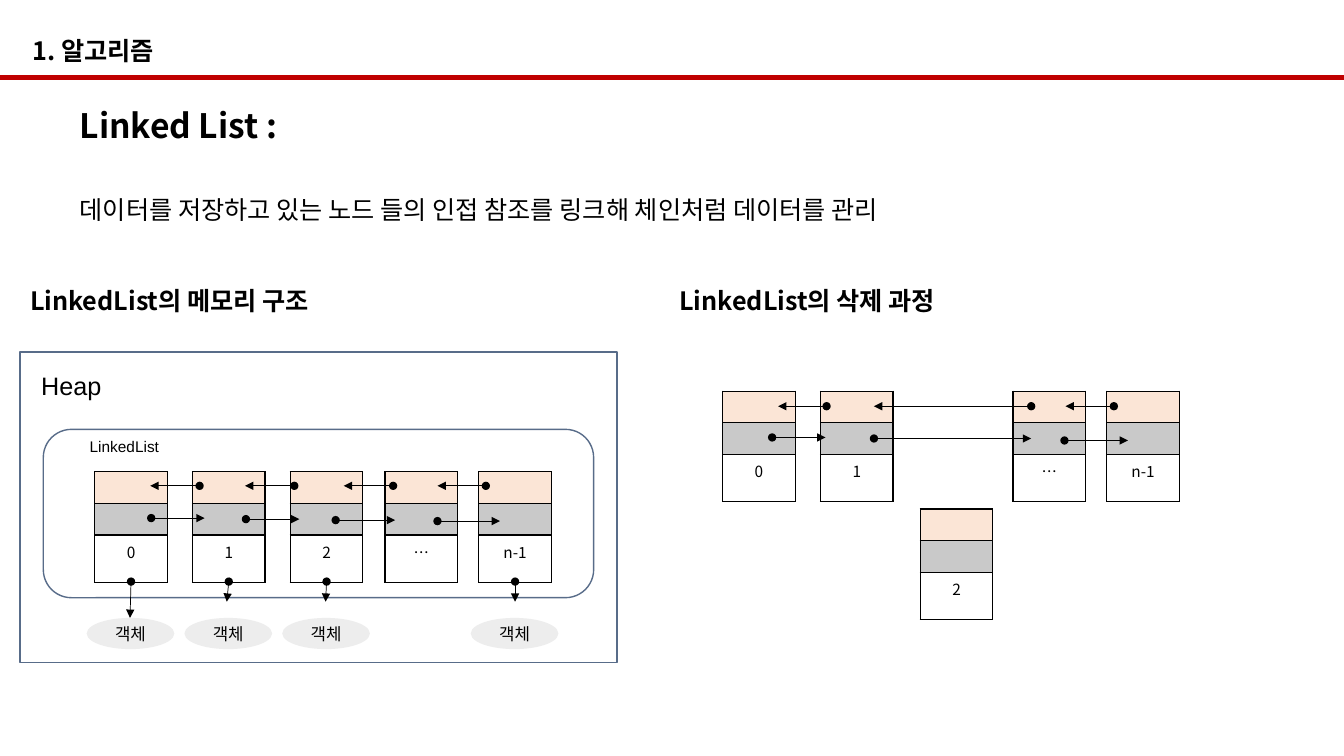
from lxml.etree import SubElement
from pptx import Presentation
from pptx.dml.color import RGBColor
from pptx.enum.shapes import MSO_CONNECTOR as Connector, MSO_SHAPE as Preset
from pptx.enum.text import MSO_ANCHOR as Anchor, MSO_AUTO_SIZE as AutoSize, PP_ALIGN as Align
from pptx.oxml.ns import qn
from pptx.util import Inches, Pt

KOREAN_FONT = "Noto Sans CJK KR"
LATIN_FONT = "Arial"
BLACK, RED, FRAME = "000000", "C00000", "586C89"
PREVIOUS_FILL, NEXT_FILL, OBJECT_FILL = "FBE5D6", "C9C9C9", "EDEDED"
GRID_STEP = Inches(0.1)
hex_color = RGBColor.from_string


def grid(*lengths):
    return [round(length * GRID_STEP) for length in lengths]


def write(paragraph, text, size, font=KOREAN_FONT, bold=False, align=Align.LEFT):
    paragraph.text = text
    paragraph.alignment = align
    paragraph.font.size = Pt(size)
    paragraph.font.bold = bold
    paragraph.font.name = font
    paragraph.font.color.rgb = hex_color(BLACK)
    properties = paragraph.font._element
    SubElement(properties, qn("a:ea")).set("typeface", KOREAN_FONT)


presentation = Presentation()
presentation.slide_width, presentation.slide_height = grid(133.33, 75)
slide = presentation.slides.add_slide(presentation.slide_layouts[1])
shapes = slide.shapes

title, body = slide.placeholders
for placeholder, area in ((title, (2.2, 3, 27.5, 4)), (body, (6.9, 9.9, 122.3, 12.5))):
    placeholder.left, placeholder.top, placeholder.width, placeholder.height = grid(*area)
    placeholder.text_frame.auto_size = AutoSize.NONE
    placeholder.text_frame.word_wrap = True
write(title.text_frame.paragraphs[0], "1. 알고리즘", 18, bold=True)

heading = body.text_frame.paragraphs[0]
description = body.text_frame.add_paragraph()
write(heading, "Linked List :", 24, bold=True)
write(description, "데이터를 저장하고 있는 노드 들의 인접 참조를 링크해 체인처럼 데이터를 관리", 18)
for paragraph, gap in ((heading, 0), (description, 35)):
    paragraph.space_before = Pt(gap)
    properties = paragraph._p.get_or_add_pPr()
    properties.set("marL", "0")
    properties.set("indent", "0")
    bullet = SubElement(properties, qn("a:buNone"))
    properties.find(qn("a:defRPr")).addprevious(bullet)

for preset, area in (
    (Preset.RECTANGLE, (2, 34.9, 59.2, 30.8)),
    (Preset.ROUNDED_RECTANGLE, (4.3, 42.6, 54.6, 16.7)),
):
    frame = shapes.add_shape(preset, *grid(*area))
    frame.shadow.inherit = False
    frame.fill.background()
    frame.line.color.rgb = hex_color(FRAME)
    frame.line.width = Pt(1)

for text, area, size, font, bold in (
    ("Heap", (3.1, 36.2, 11.4, 4), 18, LATIN_FONT, False),
    ("LinkedList", (7.9, 42.9, 28.1, 2.9), 11, LATIN_FONT, False),
    ("LinkedList의 메모리 구조", (2, 27.8, 43.2, 4), 18, KOREAN_FONT, True),
    ("LinkedList의 삭제 과정", (66.4, 27.8, 43.2, 4), 18, KOREAN_FONT, True),
):
    label = shapes.add_textbox(*grid(*area))
    label.text_frame.word_wrap = True
    write(label.text_frame.paragraphs[0], text, size, font, bold)

NODE_WIDTH = 7.2
NODE_ROWS = (3.14, 3.14, 4.7)
MEMORY_TOP, DELETION_TOP, REMOVED_TOP = 46.8, 38.8, 50.5
memory_nodes = {"0": 9.4, "1": 19.1, "2": 28.8, "…": 38.2, "n-1": 47.5}
deletion_nodes = {"0": 71.7, "1": 81.4, "…": 100.5, "n-1": 109.8}

for nodes, top in (
    (memory_nodes, MEMORY_TOP),
    (deletion_nodes, DELETION_TOP),
    ({"2": 91.3}, REMOVED_TOP),
):
    for index, left in nodes.items():
        node = shapes.add_table(3, 1, *grid(left, top, NODE_WIDTH, sum(NODE_ROWS))).table
        node.first_row = node.horz_banding = False
        node.columns[0].width = grid(NODE_WIDTH)[0]
        for row, height, fill, text in zip(
            node.rows, grid(*NODE_ROWS), (PREVIOUS_FILL, NEXT_FILL, None), ("", "", index)
        ):
            row.height = height
            cell = row.cells[0]
            cell.margin_top = cell.margin_bottom = grid(0.5)[0] if text else 0
            cell.vertical_anchor = Anchor.TOP
            write(cell.text_frame.paragraphs[0], text, 11, align=Align.CENTER)
            for side in ("a:lnL", "a:lnR", "a:lnT", "a:lnB"):
                border = SubElement(cell._tc.get_or_add_tcPr(), qn(side), w=str(Pt(1)))
                solid = SubElement(border, qn("a:solidFill"))
                SubElement(solid, qn("a:srgbClr"), val=BLACK)
            if fill:
                cell.fill.solid()
                cell.fill.fore_color.rgb = hex_color(fill)
            else:
                cell.fill.background()

links = []
for index, tip_shift, tip in (("0", -0.1, 61.3), ("1", -0.2, 59.7), ("2", -0.1, 59.7), ("n-1", 0, 59.7)):
    center = memory_nodes[index] + NODE_WIDTH / 2
    links.append((center, 57.7, center + tip_shift, tip))
    stored = shapes.add_shape(Preset.OVAL, *grid(center - 4.4, 61.3, 8.7, 3.1))
    stored.shadow.inherit = False
    stored.fill.solid()
    stored.fill.fore_color.rgb = hex_color(OBJECT_FILL)
    stored.line.fill.background()
    stored.text_frame.word_wrap = False
    stored.text_frame.vertical_anchor = Anchor.MIDDLE
    write(stored.text_frame.paragraphs[0], "객체", 12, LATIN_FONT, align=Align.CENTER)

for start, end, level in (
    (19.8, 14.9, 48.2), (29.2, 24.3, 48.2), (39, 34.1, 48.2), (48.2, 43.4, 48.2),
    (15, 20.3, 51.4), (24.4, 29.7, 51.5), (33.3, 39.2, 51.6), (43.4, 49.6, 51.7),
    (82, 77.2, 40.3), (102.3, 86.7, 40.3), (110.5, 105.7, 40.3),
    (76.6, 81.9, 43.4), (86.7, 102.3, 43.5), (105.6, 111.9, 43.7),
):
    links.append((start, level, end, level))

rule = (0, 7.7, 133.33, 7.7)
for ends, color, width in [(link, BLACK, 0.5) for link in links] + [(rule, RED, 3)]:
    connector = shapes.add_connector(Connector.STRAIGHT, *grid(*ends))
    connector.line.color.rgb = hex_color(color)
    connector.line.width = Pt(width)
    properties = connector._element.spPr
    if ends != rule:
        outline = properties.find(qn("a:ln"))
        SubElement(outline, qn("a:headEnd"), type="oval")
        SubElement(outline, qn("a:tailEnd"), type="triangle")
    SubElement(properties, qn("a:effectLst"))

presentation.save("out.pptx")
